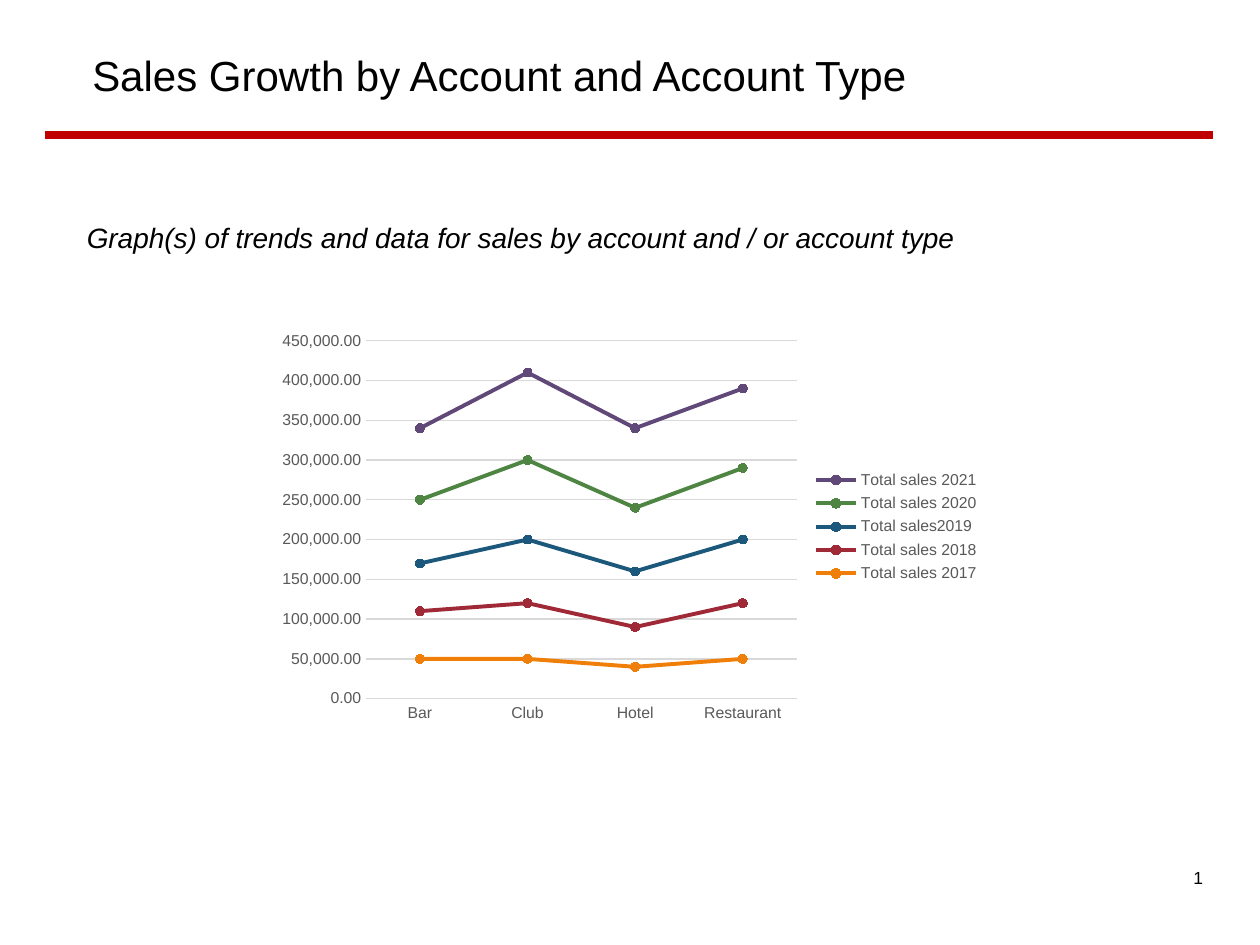
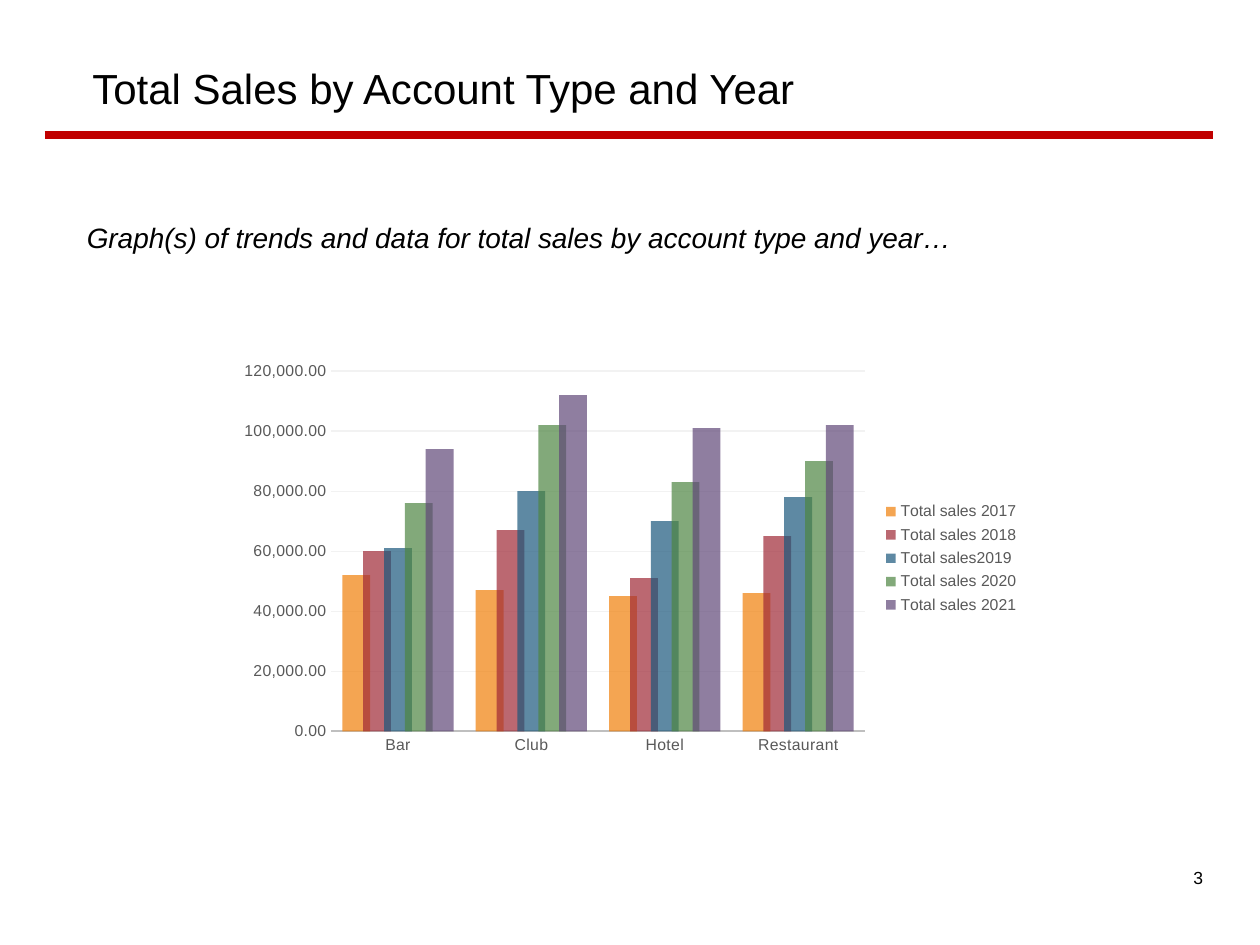
"""Builds two sales slides, each with a ruled title, a subtitle and a chart."""
from lxml import etree
from pptx import Presentation
from pptx import util as u
from pptx.chart.data import CategoryChartData
from pptx.dml.color import RGBColor
from pptx.enum import chart as ch, shapes, text
from pptx.oxml.ns import qn

COLORS = {
    "text": "000000", "rule": "C00000", "label": "595959",
    "line_axis": "D9D9D9", "line_grid": "D9D9D9",
    "bar_axis": "BFBFBF", "bar_grid": "F2F2F2",
}
ACCOUNT_TYPES = ["Bar", "Club", "Hotel", "Restaurant"]
SERIES = {
    "Total sales 2017": "F07F09", "Total sales 2018": "9F2936",
    "Total sales2019": "1B587C", "Total sales 2020": "4E8542",
    "Total sales 2021": "604878",
}
STACKED_SALES = [
    (50000, 50000, 40000, 50000), (60000, 70000, 50000, 70000),
    (60000, 80000, 70000, 80000), (80000, 100000, 80000, 90000),
    (90000, 110000, 100000, 100000),
]
YEARLY_SALES = [
    (52000, 47000, 45000, 46000), (60000, 67000, 51000, 65000),
    (61000, 80000, 70000, 78000), (76000, 102000, 83000, 90000),
    (94000, 112000, 101000, 102000),
]


def rgb(value):
    """Turn a hex string into a colour."""
    return RGBColor.from_string(value)


def style_font(font, size, color="text", italic=False):
    """Apply the deck's typeface, with a size and a named colour."""
    font.name, font.size, font.italic = "Arial", u.Pt(size), italic
    font.color.rgb = rgb(COLORS[color])


def write(tf, content, size, align=text.PP_ALIGN.LEFT, italic=False):
    """Fill a text frame with one formatted paragraph."""
    tf.word_wrap = True
    p = tf.paragraphs[0]
    p.alignment = align
    r = p.add_run()
    r.text = content
    style_font(r.font, size, italic=italic)


def style_line(line, color, width):
    """Give a line a solid colour and a width in points."""
    line.color.rgb = rgb(color)
    line.width = u.Pt(width)


class Deck:
    """Holds the presentation, its style and the current slide."""

    def __init__(self):
        """Start an empty 4:3 presentation."""
        self.prs = Presentation()
        self.prs.slide_width, self.prs.slide_height = u.Cm(25.4), u.Cm(19.05)
        self.s = None

    def slide(self, title, top, subtitle, number):
        """Add a slide with its title, rule, subtitle and number."""
        self.s = self.prs.slides.add_slide(self.prs.slide_layouts[5])
        self.title(title, top)
        self.rule()
        self.text(subtitle, (1.5, 4.32, 22.96, 0.94), 16, italic=True)
        self.text(number, (17.77, 17.35, 6.73, 1.32), 10, align=text.PP_ALIGN.RIGHT)

    def title(self, content, top):
        """Place and fill the title placeholder."""
        sp = self.s.shapes.title
        sp.left, sp.top, sp.width, sp.height = map(u.Cm, (0.87, top, 23.6, 2.39))
        tf = sp.text_frame
        tf.auto_size = text.MSO_AUTO_SIZE.NONE
        tf.vertical_anchor = text.MSO_ANCHOR.MIDDLE
        tf.margin_left = u.Cm(0.99)
        write(tf, content, 24)

    def rule(self):
        """Draw the red rule below the title."""
        sp = self.s.shapes.add_connector(
            shapes.MSO_CONNECTOR.STRAIGHT, *map(u.Cm, (0.9, 2.72, 24.46, 2.72)))
        style_line(sp.line, COLORS["rule"], 4.5)
        etree.SubElement(sp._element.spPr, qn("a:effectLst"))

    def text(self, content, box, size, **fmt):
        """Add a text box."""
        sp = self.s.shapes.add_textbox(*map(u.Cm, box))
        write(sp.text_frame, content, size, **fmt)

    def chart(self, kind, sales, box, look, axis_width):
        """Add a sales chart with styled axes and a legend."""
        data = CategoryChartData(number_format="#,##0.00")
        data.categories = ACCOUNT_TYPES
        for name, values in zip(SERIES, sales):
            data.add_series(name, values)
        chart = self.s.shapes.add_chart(kind, *map(u.Cm, box), data).chart
        style_font(chart.font, 10)
        chart.has_title = False
        chart.has_legend = True
        chart.legend.position = ch.XL_LEGEND_POSITION.RIGHT
        chart.legend.include_in_layout = False
        style_font(chart.legend.font, 9, "label")
        cat, val = chart.category_axis, chart.value_axis
        for axis in (cat, val):
            axis.major_tick_mark = axis.minor_tick_mark = ch.XL_TICK_MARK.NONE
            style_font(axis.tick_labels.font, 9, "label")
        style_line(cat.format.line, COLORS[look + "_axis"], axis_width)
        val.format.line.fill.background()
        val.has_major_gridlines = True
        style_line(val.major_gridlines.format.line, COLORS[look + "_grid"], 0.75)
        val.tick_labels.number_format = "#,##0.00"
        val.tick_labels.number_format_is_linked = False
        chart.plots[0].vary_by_categories = False
        return chart

    def line_chart(self, box):
        """Add the stacked line chart with round markers."""
        chart = self.chart(
            ch.XL_CHART_TYPE.LINE_MARKERS_STACKED, STACKED_SALES, box, "line", 0.75)
        for series, color in zip(chart.plots[0].series, SERIES.values()):
            series.smooth = False
            style_line(series.format.line, color, 2.25)
            marker = series.marker
            marker.style, marker.size = ch.XL_MARKER_STYLE.CIRCLE, 5
            marker.format.fill.solid()
            marker.format.fill.fore_color.rgb = rgb(color)
            style_line(marker.format.line, color, 0.75)

    def column_chart(self, box):
        """Add the clustered column chart with translucent, overlapping bars."""
        chart = self.chart(
            ch.XL_CHART_TYPE.COLUMN_CLUSTERED, YEARLY_SALES, box, "bar", 1.25)
        for axis in (chart.category_axis, chart.value_axis):
            axis._element.find(".//" + qn("a:defRPr")).set("spc", "20")
        plot = chart.plots[0]
        plot.gap_width, plot.overlap = 80, 25
        for series, color in zip(plot.series, SERIES.values()):
            series.invert_if_negative = False
            series.format.fill.solid()
            series.format.fill.fore_color.rgb = rgb(color)
            fill = series._element.find(".//" + qn("a:srgbClr"))
            etree.SubElement(fill, qn("a:alpha"), val="70000")


deck = Deck()
deck.slide("Sales Growth by Account and Account Type", 0.32,
           "Graph(s) of trends and data for sales by account and / or account type", "1")
deck.line_chart((5.4, 6.52, 14.6, 8.2))
deck.slide("Total Sales by Account Type and Year", 0.58,
           "Graph(s) of trends and data for total sales by account type and year…", "3")
deck.column_chart((4.6, 7.13, 16.2, 8.25))
deck.prs.save("out.pptx")
